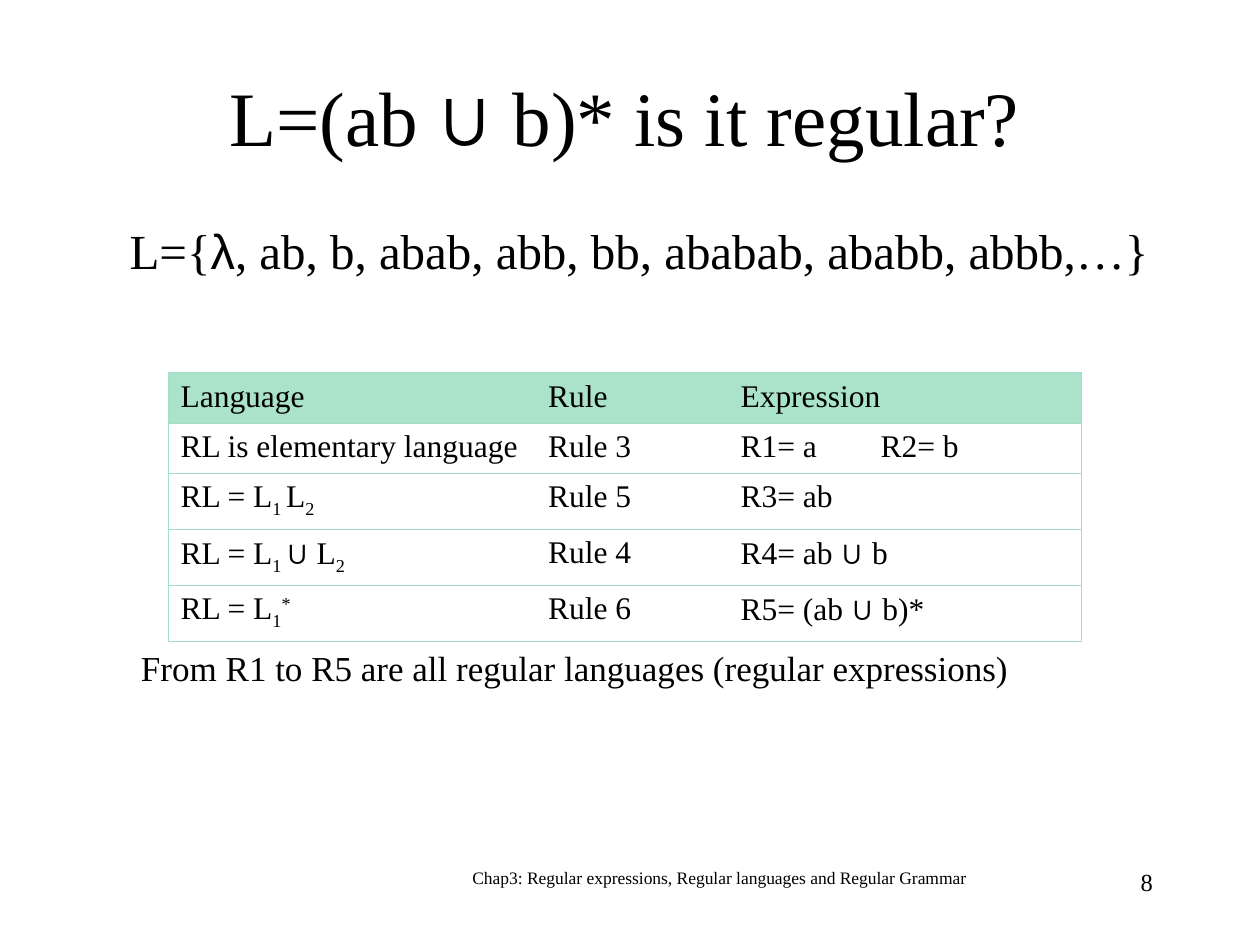
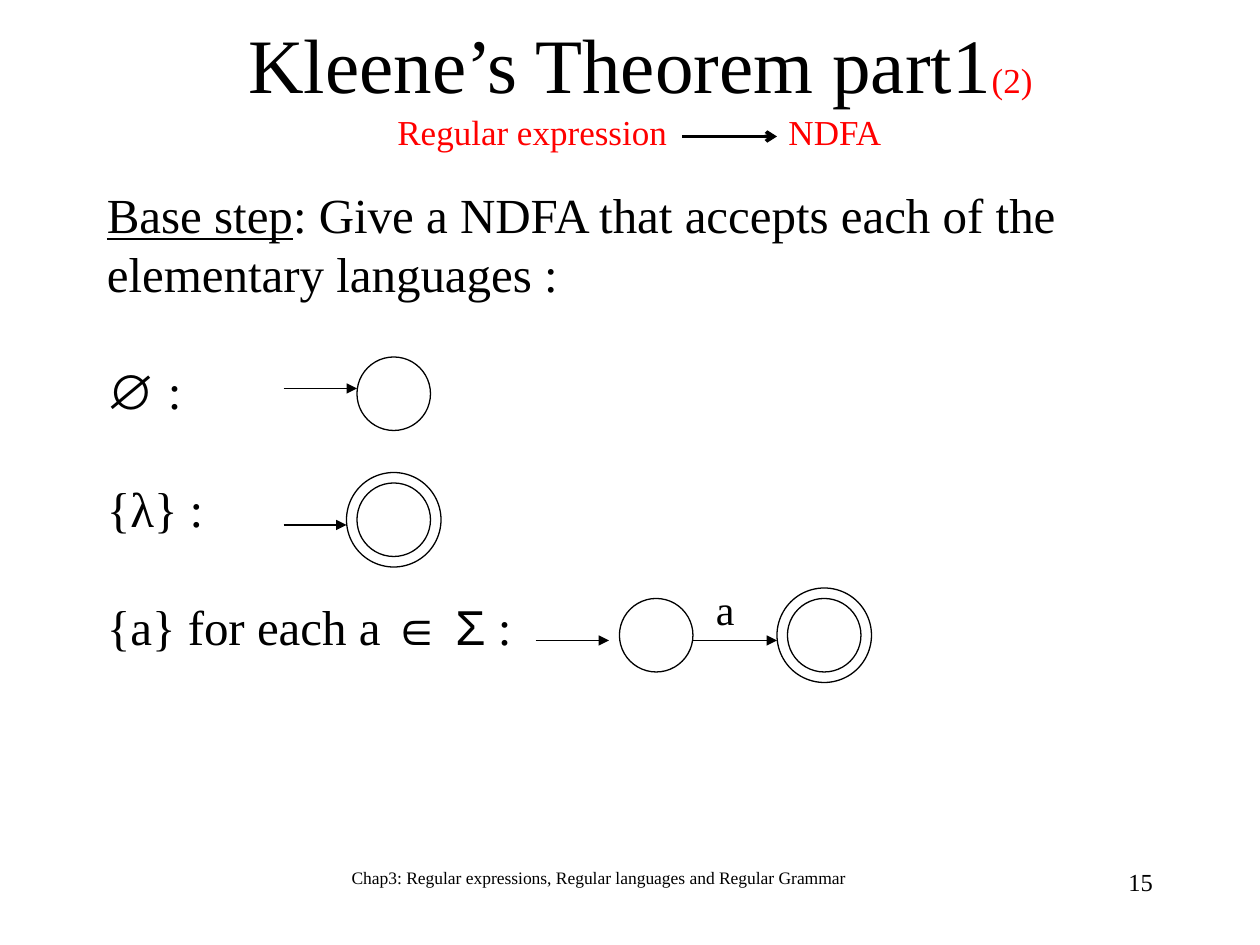
from dataclasses import dataclass, field
from typing import Any

from lxml import etree
from pptx import Presentation
from pptx import util as u
from pptx.dml import color as dml
from pptx.enum import shapes, text
from pptx.oxml import ns

Pt = u.Pt
LEFT, MID, RIGHT = text.PP_ALIGN.LEFT, text.PP_ALIGN.CENTER, text.PP_ALIGN.RIGHT


@dataclass(frozen=True)
class Theme:
    serif: str = "Times New Roman"
    sans: str = "Arial"
    ink: str = "000000"
    red: str = "FF0000"
    head: str = "AAE2CA"
    rule: str = "A5DEC6"
    title: int = 44
    body: int = 28
    label: int = 24
    note: int = 20
    cell: int = 18
    page: int = 14
    foot: int = 10
    lead: float = 1.2
    thin: float = 0.75
    bold: float = 2
    hair: float = 0.34


THEME = Theme()


@dataclass
class Run:
    txt: str
    form: dict[str, Any] = field(default_factory=dict)
    color: str = THEME.ink
    base: int = 0


@dataclass
class Para:
    runs: list[Run]
    size: int
    align: Any = LEFT
    gap: float = 0
    tab: float = 0
    lead: float = THEME.lead


@dataclass
class Box:
    left: float
    top: float
    width: float
    height: float

    def place(self) -> tuple:
        return Pt(self.left), Pt(self.top), Pt(self.width), Pt(self.height)


@dataclass
class State:
    x: float
    y: float
    final: bool = False


@dataclass
class Arrow:
    start: float
    end: float
    y: float
    width: float = THEME.thin
    head: str = "triangle"


def sans(txt: str) -> Run:
    return Run(txt, {"name": THEME.sans})


def sub(txt: str) -> Run:
    return Run(txt, base=-25000)


def rgb(code: str) -> dml.RGBColor:
    return dml.RGBColor.from_string(code)


def apply(obj: Any, form: dict[str, Any]) -> None:
    for name, value in form.items():
        setattr(obj, name, value)


def child(node: Any, tag: str, **attrs: str) -> Any:
    return etree.SubElement(node, ns.qn(tag), attrs)


def fill_para(para: Any, data: Para) -> None:
    form = {"alignment": data.align, "space_before": Pt(data.gap)}
    if data.lead:
        form["line_spacing"] = Pt(data.size * data.lead)
    apply(para, form)
    if data.tab:
        tabs = child(para._p.get_or_add_pPr(), "a:tabLst")
        child(tabs, "a:tab", pos=str(Pt(data.tab)), algn="l")
    for item in data.runs:
        run = para.add_run()
        run.text = item.txt
        apply(run.font, {"name": THEME.serif, "size": Pt(data.size), **item.form})
        run.font.color.rgb = rgb(item.color)
        if item.base:
            run._r.get_or_add_rPr().set("baseline", str(item.base))


def fill_frame(frame: Any, paras: list[Para], wrap: bool = True) -> None:
    apply(frame, {
        "word_wrap": wrap,
        "auto_size": text.MSO_AUTO_SIZE.NONE,
        "vertical_anchor": text.MSO_ANCHOR.TOP,
        "margin_left": Pt(7.2), "margin_right": Pt(7.2),
        "margin_top": Pt(3.6), "margin_bottom": Pt(3.6),
    })
    for num, data in enumerate(paras):
        fill_para(frame.add_paragraph() if num else frame.paragraphs[0], data)


def add_text(slide: Any, box: Box, *paras: Para, wrap: bool = True) -> None:
    fill_frame(slide.shapes.add_textbox(*box.place()).text_frame, list(paras), wrap)


def add_slide(deck: Any, box: Box, title: list[Run], foot: Box, page: int) -> Any:
    slide = deck.slides.add_slide(deck.slide_layouts[5])
    head = slide.shapes.title
    apply(head, dict(zip(("left", "top", "width", "height"), box.place())))
    fill_frame(head.text_frame, [Para(title, THEME.title, MID)])
    note = "Chap3: Regular expressions, Regular languages and Regular Grammar"
    add_text(slide, foot, Para([Run(note)], THEME.foot, MID))
    add_text(slide, Box(516, 492, 150, 36), Para([Run(str(page))], THEME.page, RIGHT))
    return slide


def add_state(slide: Any, state: State) -> None:
    for radius in (27, 21) if state.final else (21,):
        box = Box(state.x - radius, state.y - radius, 2 * radius, 2 * radius)
        ring = slide.shapes.add_shape(shapes.MSO_SHAPE.OVAL, *box.place())
        ring.shadow.inherit = False
        ring.fill.background()
        ring.line.color.rgb = rgb(THEME.ink)
        ring.line.width = Pt(THEME.thin)


def add_arrow(slide: Any, arrow: Arrow) -> None:
    line = slide.shapes.add_connector(
        shapes.MSO_CONNECTOR.STRAIGHT,
        Pt(arrow.start), Pt(arrow.y), Pt(arrow.end), Pt(arrow.y))
    line.line.color.rgb = rgb(THEME.ink)
    line.line.width = Pt(arrow.width)
    child(line.line._get_or_add_ln(), "a:tailEnd", type=arrow.head)
    child(line._element.spPr, "a:effectLst")


def add_edges(cell: Any, first: bool, last: bool) -> None:
    props = cell._tc.get_or_add_tcPr()
    sides = {"a:lnL": first, "a:lnR": last, "a:lnT": True, "a:lnB": True}
    for spot, (tag, shown) in enumerate(sides.items()):
        edge = etree.Element(ns.qn(tag), w=str(Pt(THEME.hair)))
        if shown:
            child(child(edge, "a:solidFill"), "a:srgbClr", val=THEME.rule)
        else:
            child(edge, "a:noFill")
        props.insert(spot, edge)


def add_table(slide: Any, box: Box, cols: list[float], rows: list[float],
              cells: list[list[list[Run]]], tab: float) -> None:
    table = slide.shapes.add_table(len(rows), len(cols), *box.place()).table
    apply(table, {"first_row": False, "horz_banding": False})
    for col, width in zip(table.columns, cols):
        col.width = Pt(width)
    for num, (row, height) in enumerate(zip(table.rows, rows)):
        row.height = Pt(height)
        for pos, cell in enumerate(row.cells):
            data = cells[num][pos]
            stop = tab if any("\t" in run.txt for run in data) else 0
            fill_para(cell.text_frame.paragraphs[0],
                      Para(data, THEME.cell, tab=stop, lead=0))
            if num:
                cell.fill.background()
            else:
                cell.fill.solid()
                cell.fill.fore_color.rgb = rgb(THEME.head)
            add_edges(cell, pos == 0, pos == len(cols) - 1)


def build_regular(deck: Any) -> None:
    slide = add_slide(
        deck, Box(18, 36, 678, 60),
        [Run("L=(ab "), sans("∪"), Run(" b)* is it regular?")],
        Box(246, 492, 330, 36), 8)
    words = [Run("L={"), sans("λ"),
             Run(", ab, b, abab, abb, bb, ababab, ababb, abbb,…}")]
    add_text(slide, Box(67, 122.5, 629, 41), Para(words, THEME.body), wrap=False)
    cells = [
        [[Run("Language")], [Run("Rule")], [Run("Expression")]],
        [[Run("RL is elementary language")], [Run("Rule 3")], [Run("R1= a\tR2= b")]],
        [[Run("RL = L"), sub("1 "), Run("L"), sub("2")],
         [Run("Rule 5")], [Run("R3= ab")]],
        [[Run("RL = L"), sub("1 "), sans("∪"), Run(" L"), sub("2")],
         [Run("Rule 4")], [Run("R4= ab "), sans("∪ "), Run("b")]],
        [[Run("RL = L"), sub("1"), Run("*", base=30000)],
         [Run("Rule 6")], [Run("R5= (ab "), sans("∪ "), Run("b)*")]],
    ]
    add_table(slide, Box(96, 213, 522, 153.6), [210, 110, 202],
              [28.8] * 2 + [32] * 3, cells, 80)
    claim = "From R1 to R5 are all regular languages (regular expressions)"
    add_text(slide, Box(73.5, 366, 510, 32), Para([Run(claim)], THEME.note), wrap=False)


def build_kleene(deck: Any) -> None:
    slide = add_slide(
        deck, Box(30, 6, 672, 60),
        [Run("Kleene’s Theorem part1"),
         Run("(2)", {"size": Pt(THEME.note)}, THEME.red)],
        Box(174, 492, 336, 36), 15)
    add_text(slide, Box(220, 59.5, 330, 31),
             Para([Run("Regular expression\tNDFA", color=THEME.red)],
                  THEME.note, tab=223.5))
    steps = [
        [Run("Base step", {"underline": True}),
         Run(": Give a NDFA that accepts each of the elementary languages :")],
        [sans("∅"), Run(" :")],
        [Run("{λ} :")],
        [Run("{a} for each a "), sans("∈ Σ"), Run(" :")],
    ]
    skip = THEME.body * THEME.lead
    add_text(slide, Box(54, 102, 595.5, 276.5),
             *(Para(runs, THEME.body, gap=skip if num else 0)
               for num, runs in enumerate(steps)))
    for state in (State(225, 225), State(225, 297, True),
                  State(375, 363), State(471, 363, True)):
        add_state(slide, state)
    for arrow in (Arrow(162, 204, 222), Arrow(162, 198, 300), Arrow(306, 348, 366),
                  Arrow(396, 444, 366), Arrow(390, 444, 78, THEME.bold, "arrow")):
        add_arrow(slide, arrow)
    add_text(slide, Box(402, 330, 25, 36), Para([Run("a")], THEME.label), wrap=False)


def main() -> None:
    deck = Presentation()
    apply(deck, {"slide_width": Pt(720), "slide_height": Pt(540)})
    build_regular(deck)
    build_kleene(deck)
    deck.save("out.pptx")


if __name__ == "__main__":
    main()
